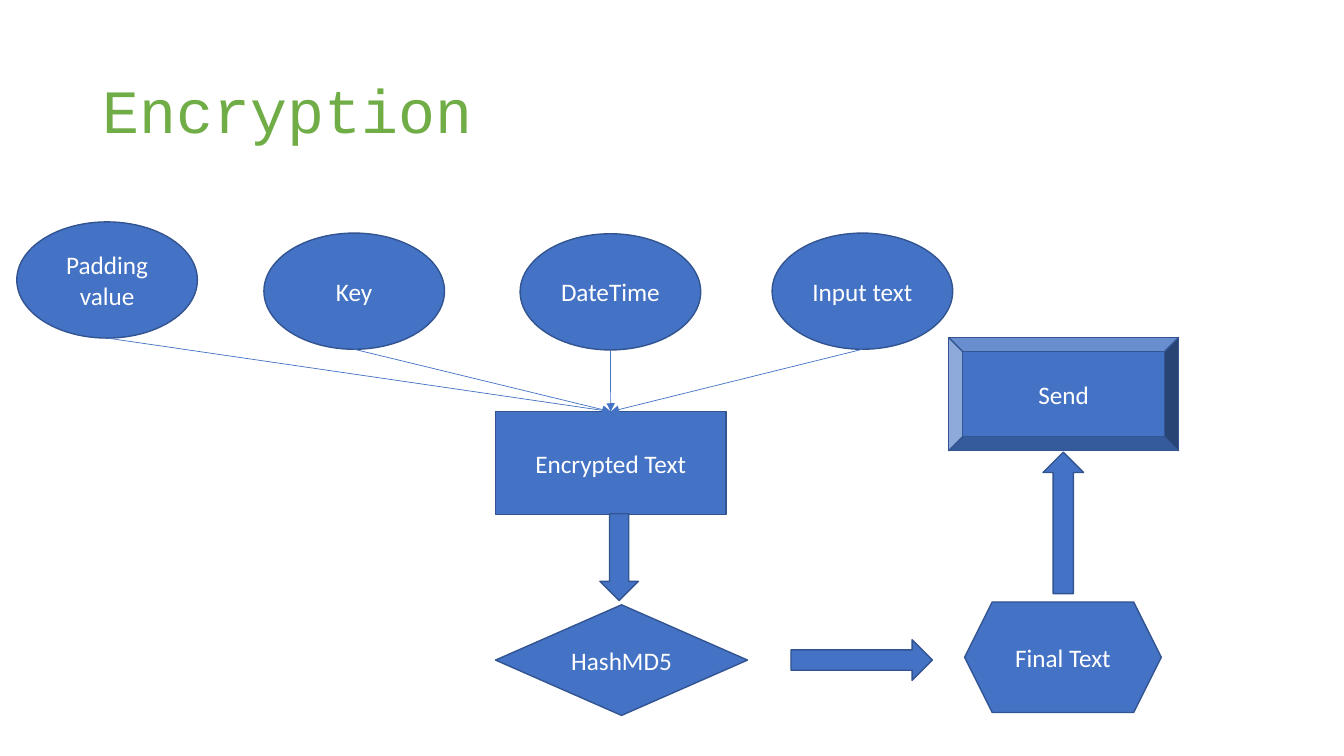
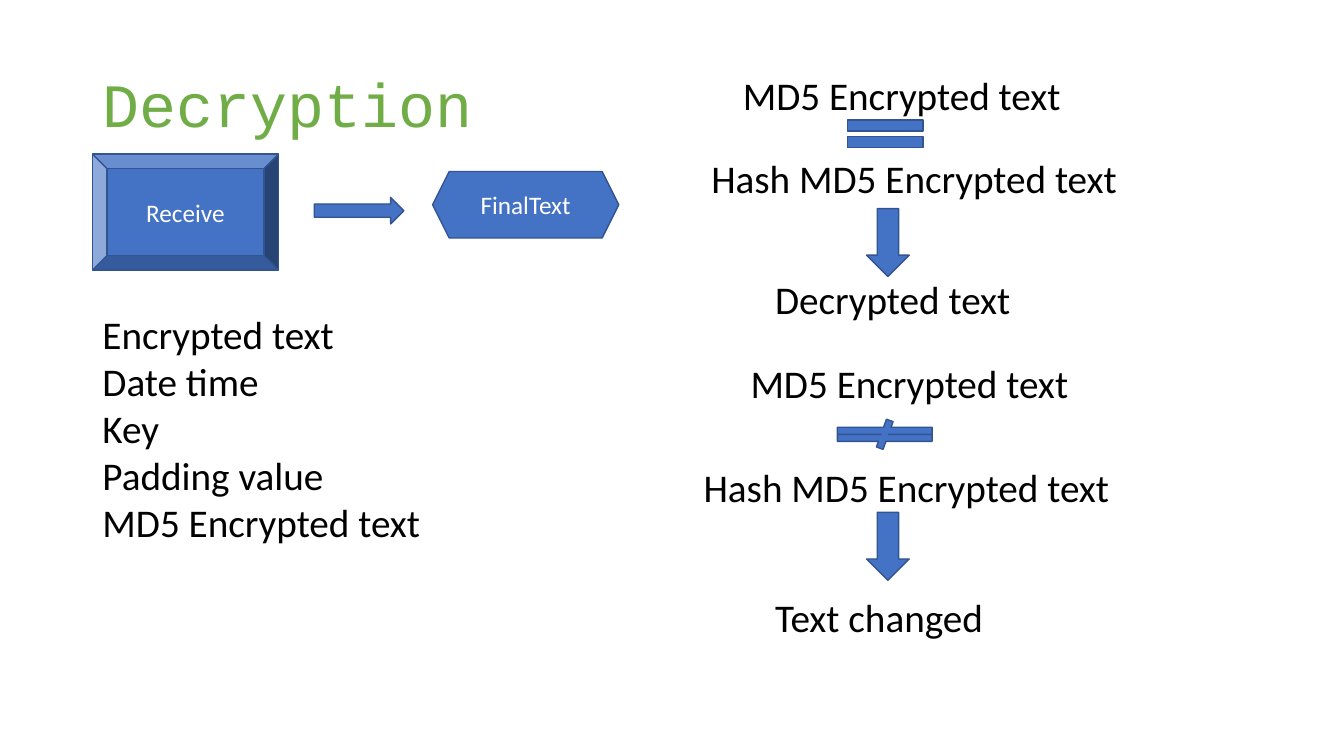
import pptx
import pptx.dml.color
import pptx.enum.shapes
import pptx.enum.text
import pptx.oxml.ns
import pptx.util
from lxml import etree

Pt = pptx.util.Pt
qn = pptx.oxml.ns.qn
SHAPE = pptx.enum.shapes.MSO_SHAPE
ALIGN = pptx.enum.text.PP_ALIGN
ANCHOR = pptx.enum.text.MSO_ANCHOR
AUTO_SIZE = pptx.enum.text.MSO_AUTO_SIZE

BLUE, OUTLINE, GREEN = "4472C4", "325491", "70AD47"
WHITE, BLACK = "FFFFFF", "000000"
BODY_FONT, TITLE_FONT = "Calibri", "Courier New"
TITLE_AND_BODY, TITLE_ONLY = 1, 5


def rgb(hex_colour):
    return pptx.dml.color.RGBColor.from_string(hex_colour)


def place(item, left, top, width, height):
    item.left, item.top = Pt(left), Pt(top)
    item.width, item.height = Pt(width), Pt(height)


def add_run(paragraph, text, size, colour, font=BODY_FONT):
    run = paragraph.add_run()
    run.text = text
    run.font.size = Pt(size)
    run.font.name = font
    run.font.color.rgb = rgb(colour)


def add_titled_slide(deck, layout, title_text, title_top):
    slide = deck.slides.add_slide(deck.slide_layouts[layout])
    title = slide.shapes.title
    place(title, 66, title_top, 828, 104)
    title.text_frame.vertical_anchor = ANCHOR.MIDDLE
    title.text_frame.auto_size = AUTO_SIZE.NONE
    heading = title.text_frame.paragraphs[0]
    heading.alignment = ALIGN.LEFT
    heading.line_spacing = 0.9
    add_run(heading, title_text, 44, GREEN, TITLE_FONT)
    return slide


def add_node(slide, kind, left, top, width, height, label=""):
    """Add a blue flowchart shape or block arrow, with an optional label."""
    node = slide.shapes.add_shape(kind, Pt(left), Pt(top), Pt(width), Pt(height))
    node.shadow.inherit = False
    node.fill.solid()
    node.fill.fore_color.rgb = rgb(BLUE)
    node.line.color.rgb = rgb(OUTLINE)
    node.line.width = Pt(1)
    if label:
        node.text_frame.vertical_anchor = ANCHOR.MIDDLE
        paragraph = node.text_frame.paragraphs[0]
        paragraph.alignment = ALIGN.CENTER
        add_run(paragraph, label, 18, WHITE)
    return node


def add_input_arrow(slide, source, target):
    """Draw a thin arrow from the bottom of source to the top of target."""
    start_x, start_y = source.left + source.width // 2, source.top + source.height
    arrow = slide.shapes.add_connector(
        pptx.enum.shapes.MSO_CONNECTOR.STRAIGHT,
        start_x, start_y, target.left + target.width // 2, target.top)
    arrow.end_connect(target, 0)
    arrow.line.color.rgb = rgb(BLUE)
    arrow.line.width = Pt(0.5)
    properties = arrow.element.spPr
    etree.SubElement(properties.find(qn("a:ln")), qn("a:tailEnd"), type="triangle")
    etree.SubElement(properties, qn("a:effectLst"))


def add_statement(slide, text, left, top, width):
    statement = slide.shapes.add_textbox(Pt(left), Pt(top), Pt(width), Pt(41))
    statement.text_frame.word_wrap = True
    statement.text_frame.auto_size = AUTO_SIZE.SHAPE_TO_FIT_TEXT
    add_run(statement.text_frame.paragraphs[0], text, 28, BLACK)


def fill_plain_list(body, items):
    """Write the items into the body placeholder without bullets."""
    frame = body.text_frame
    frame.auto_size = AUTO_SIZE.NONE
    for index, item in enumerate(items):
        paragraph = frame.add_paragraph() if index else frame.paragraphs[0]
        paragraph.space_before = Pt(0)
        properties = paragraph._p.get_or_add_pPr()
        properties.set("marL", "0")
        properties.set("indent", "0")
        etree.SubElement(properties, qn("a:buNone"))
        add_run(paragraph, item, 28, BLACK)


def build_encryption(deck):
    slide = add_titled_slide(deck, TITLE_ONLY, "Encryption", 29)
    encrypted = add_node(slide, SHAPE.RECTANGLE, 354, 294, 164.5, 73.5, "Encrypted Text")
    for label, left, top in (
        ("Padding value", 12, 158.5),
        ("Key", 188.5, 166.5),
        ("DateTime", 371.5, 167),
        ("Input text", 551.5, 166.5),
    ):
        ingredient = add_node(slide, SHAPE.OVAL, left, top, 129, 83, label)
        add_input_arrow(slide, ingredient, encrypted)

    add_node(slide, SHAPE.DOWN_ARROW, 428.5, 367, 27.5, 62)
    add_node(slide, SHAPE.DIAMOND, 354, 432, 180, 79, "HashMD5")
    add_node(slide, SHAPE.RIGHT_ARROW, 565, 457, 101, 29)
    add_node(slide, SHAPE.HEXAGON, 689, 430, 140.5, 79, "Final Text")
    add_node(slide, SHAPE.UP_ARROW, 745, 323, 29, 101)
    add_node(slide, SHAPE.BEVEL, 677.5, 241, 164.5, 81, "Send")


def build_decryption(deck):
    slide = add_titled_slide(deck, TITLE_AND_BODY, "Decryption", 25)
    add_node(slide, SHAPE.BEVEL, 66, 110, 133, 83, "Receive")
    add_node(slide, SHAPE.RIGHT_ARROW, 224.5, 141, 64, 19)
    add_node(slide, SHAPE.HEXAGON, 309, 122.5, 133, 47.5, "FinalText")

    parts = slide.placeholders[1]
    place(parts, 66, 218, 253, 245)
    fill_plain_list(parts, ("Encrypted text", "Date time", "Key",
                            "Padding value", "MD5 Encrypted text"))

    for text, left, top, width in (
        ("MD5 Encrypted text", 523.5, 47.5, 262),
        ("Hash MD5 Encrypted text", 501, 106.5, 308),
        ("Decrypted text", 546.5, 193, 183.5),
        ("MD5 Encrypted text", 529, 253, 256),
        ("Hash MD5 Encrypted text", 495.5, 327.5, 308),
        ("Text changed", 546.5, 420, 183.5),
    ):
        add_statement(slide, text, left, top, width)

    add_node(slide, SHAPE.MATH_EQUAL, 595.5, 79, 73.5, 33)
    not_equal = add_node(slide, SHAPE.MATH_NOT_EQUAL, 586, 299.5, 92, 21.5)
    for index, value in enumerate((0.235, 66, 0)):
        not_equal.adjustments[index] = value
    for top in (149, 366):
        add_node(slide, SHAPE.DOWN_ARROW, 619, top, 30.5, 48.5)


def main():
    deck = pptx.Presentation()
    deck.slide_width, deck.slide_height = Pt(960), Pt(540)
    build_encryption(deck)
    build_decryption(deck)
    deck.save("out.pptx")


if __name__ == "__main__":
    main()
